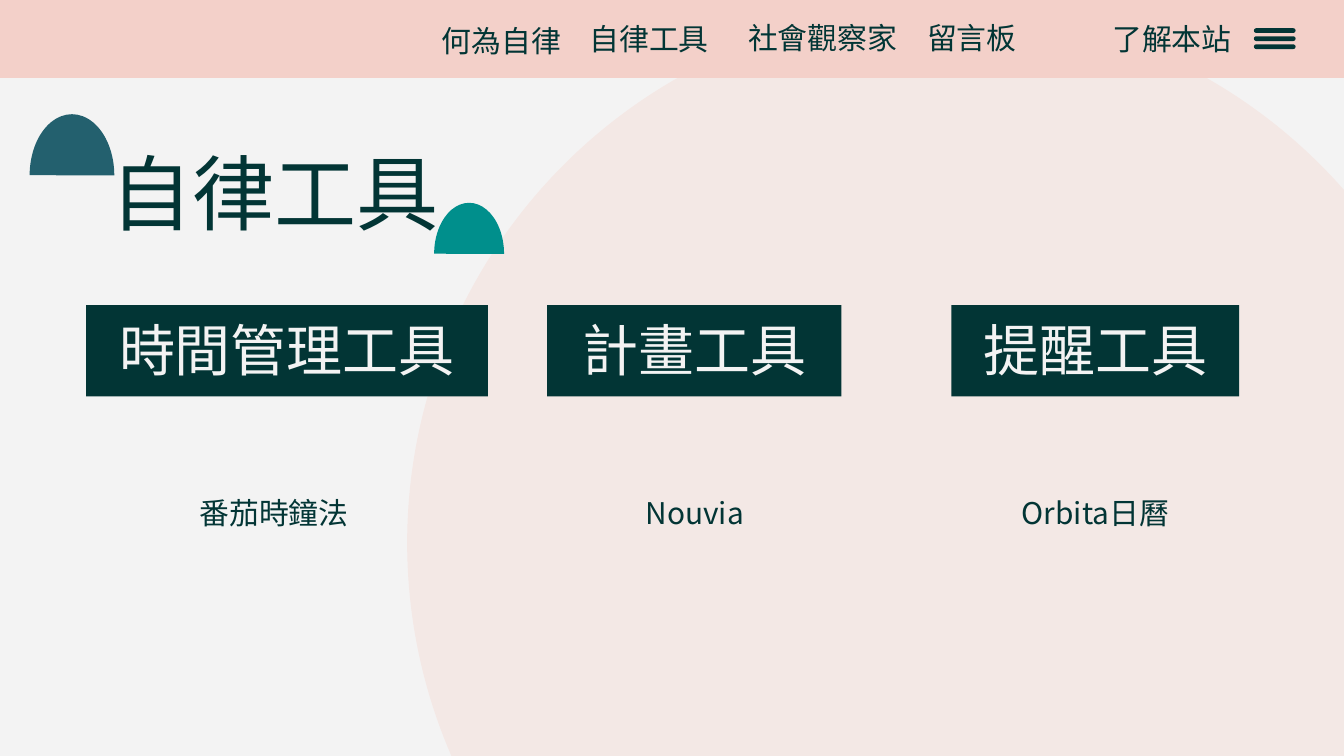
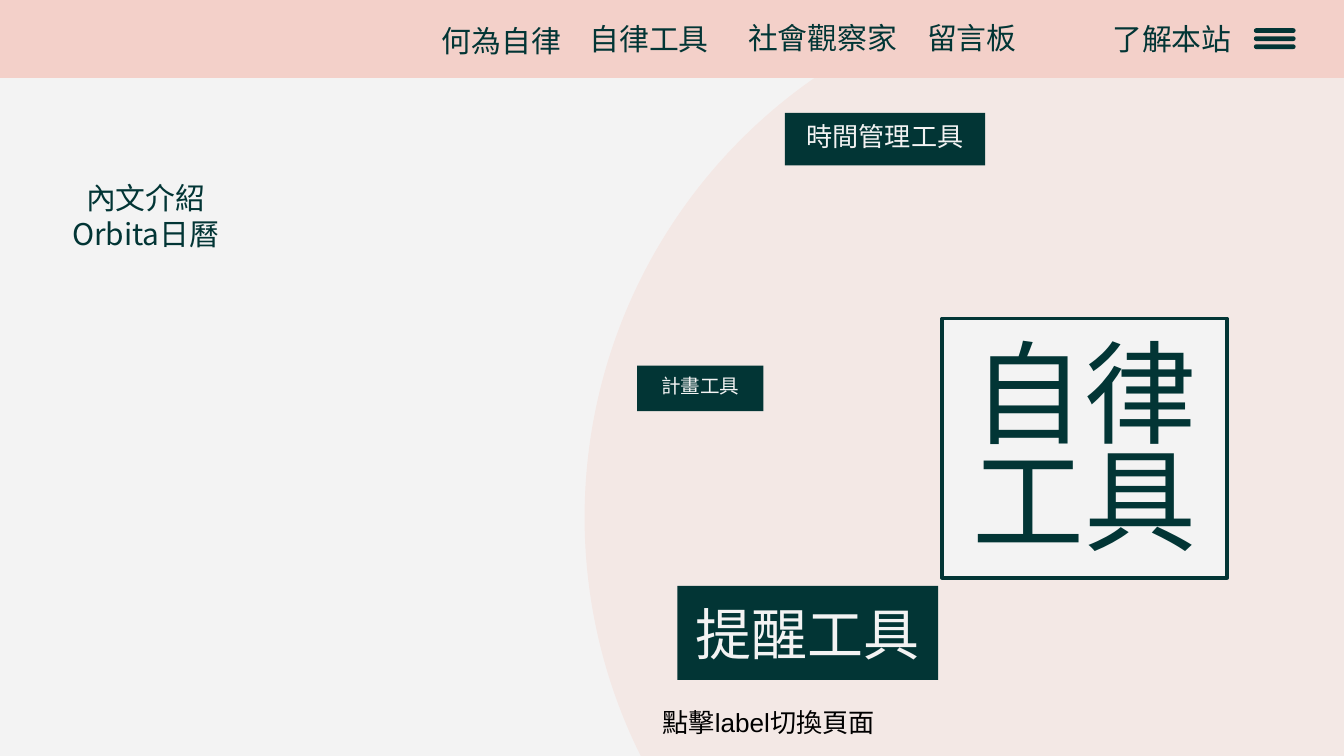
"""Build two slides of a site mock-up about self-discipline tools."""
from dataclasses import dataclass
from typing import NamedTuple

from lxml import etree
from pptx import Presentation
from pptx import slide as sl
from pptx import util as u
from pptx.dml import color
from pptx.enum import shapes, text
from pptx.oxml import ns
from pptx.shapes import autoshape
from pptx.text import text as tx

CELL = u.Inches(0.1)
COLUMNS, ROWS = 100, 56.25
COLORS = {
    "paper": "F3F3F3", "blush": "F3E8E5", "band": "F3D0C9", "ink": "023535",
    "slate": "23606E", "teal": "008F8C", "black": "000000",
}
SANS = "Noto Sans CJK JP"


class Area(NamedTuple):
    """A rectangle in grid columns and rows."""
    column: float
    row: float
    columns: float
    rows: float

    def emu(self) -> list[int]:
        """Return left, top, width and height."""
        return [round(cells * CELL) for cells in self]


@dataclass(frozen=True)
class Style:
    """How a block of text is set."""
    size: float = 16
    ink: str = "ink"
    font: str = SANS
    align: text.PP_ALIGN = text.PP_ALIGN.CENTER
    anchor: text.MSO_ANCHOR = text.MSO_ANCHOR.TOP
    side_inset: float = 1
    end_inset: float = 1
    spacing: float | None = None
    fit: text.MSO_AUTO_SIZE = text.MSO_AUTO_SIZE.NONE


class Label(NamedTuple):
    """Words in their place."""
    words: str
    area: Area
    size: float = 16


class Dome(NamedTuple):
    """A half ellipse, before its quarter turn."""
    area: Area
    fill: str


BODY = Style()
NAV_STYLE = Style(anchor=text.MSO_ANCHOR.MIDDLE, side_inset=0)
HINT_STYLE = Style(14, "black", "Arial", text.PP_ALIGN.LEFT, end_inset=0.5,
                   fit=text.MSO_AUTO_SIZE.SHAPE_TO_FIT_TEXT)

NAV = [
    Label("自律工具", Area(43.3, 2, 10, 1.7)),
    Label("何為自律", Area(31.4, 2.2, 11.8, 1.7)),
    Label("了解本站", Area(82.2, 2, 10, 1.7)),
    Label("社會觀察家", Area(55.1, 1.9, 12.2, 1.8)),
    Label("留言板", Area(66.2, 1.9, 12.2, 1.8)),
]
DOMES = [Dome(Area(0.8, 9.9, 9.1, 6.3), "slate"), Dome(Area(31.1, 16.3, 7.6, 5.2), "teal")]
TOOL_TAGS = [
    Label("時間管理工具", Area(6.4, 22.7, 29.9, 6.8), 30),
    Label("計畫工具", Area(40.7, 22.7, 21.9, 6.8), 30),
    Label("提醒工具", Area(70.8, 22.7, 21.4, 6.8), 30),
]
EXAMPLES = [
    Label(words, Area(column, 35.8, 16.4, 10.7))
    for words, column in [("番茄時鐘法", 12.2), ("Nouvia", 43.5), ("Orbita日曆", 73.3)]
]
SWITCH_TAGS = [
    Label("計畫工具", Area(47.4, 27.2, 9.4, 3.4), 10.5),
    Label("提醒工具", Area(50.4, 43.6, 19.4, 7), 30),
    Label("時間管理工具", Area(58.4, 8.4, 14.9, 3.9), 14),
]


def rgb(name: str) -> color.RGBColor:
    """Look up a named colour."""
    return color.RGBColor.from_string(COLORS[name])


def write(frame: tx.TextFrame, words: str, style: Style) -> None:
    """Set one paragraph per line of words."""
    frame.word_wrap = True
    frame.auto_size = style.fit
    frame.vertical_anchor = style.anchor
    frame.margin_left = frame.margin_right = round(style.side_inset * CELL)
    frame.margin_top = frame.margin_bottom = round(style.end_inset * CELL)
    for index, line in enumerate(words.split("\n")):
        paragraph = frame.add_paragraph() if index else frame.paragraphs[0]
        paragraph.alignment = style.align
        if style.spacing:
            paragraph.line_spacing = style.spacing
        run = paragraph.add_run()
        run.text = line
        run.font.size = u.Pt(style.size)
        run.font.color.rgb = rgb(style.ink)
        run.font.name = style.font
        etree.SubElement(run.font._element, ns.qn("a:ea"), typeface=SANS)


def add_label(slide: sl.Slide, label: Label, style: Style = BODY) -> None:
    """Place plain text."""
    write(slide.shapes.add_textbox(*label.area.emu()).text_frame, label.words, style)


def add_figure(parent, kind: shapes.MSO_SHAPE, area: Area, fill: str) -> autoshape.Shape:
    """Place a flat preset shape."""
    figure = parent.add_shape(kind, *area.emu())
    figure.shadow.inherit = False
    figure.fill.solid()
    figure.fill.fore_color.rgb = rgb(fill)
    figure.line.fill.background()
    return figure


def add_tag(slide: sl.Slide, tag: Label) -> None:
    """Place a dark box with light words."""
    box = add_figure(slide.shapes, shapes.MSO_SHAPE.RECTANGLE, tag.area, "ink")
    write(box.text_frame, tag.words,
          Style(tag.size, "paper", anchor=text.MSO_ANCHOR.BOTTOM))


def add_dome(slide: sl.Slide, dome: Dome) -> None:
    """Place a half ellipse resting on its flat side."""
    half = add_figure(slide.shapes, shapes.MSO_SHAPE.PIE, dome.area, dome.fill)
    half.adjustments[0], half.adjustments[1] = 54.21, 162
    half.rotation = 90


def place_title(slide: sl.Slide, title: Label) -> autoshape.Shape:
    """Move the title placeholder to the front and fill it in."""
    heading = slide.shapes.title
    heading.left, heading.top, heading.width, heading.height = title.area.emu()
    slide.shapes._spTree.append(heading._element)
    write(heading.text_frame, title.words,
          Style(title.size, anchor=text.MSO_ANCHOR.BOTTOM, spacing=0.8))
    return heading


def add_page(deck, layout: int, circle_column: float, circle_row: float) -> sl.Slide:
    """Start a slide with its circle, band, navigation and menu icon."""
    slide = deck.slides.add_slide(deck.slide_layouts[layout])
    for spare in list(slide.placeholders)[1:]:
        slide.shapes._spTree.remove(spare._element)
    add_figure(slide.shapes, shapes.MSO_SHAPE.OVAL,
               Area(circle_column, circle_row, 79.6, 79.6), "blush")
    add_figure(slide.shapes, shapes.MSO_SHAPE.RECTANGLE, Area(0, 0, COLUMNS, 5.8), "band")
    for link in NAV:
        add_label(slide, link, NAV_STYLE)
    menu = slide.shapes.add_group_shape()
    for index in range(3):
        bar = add_figure(menu.shapes, shapes.MSO_SHAPE.ROUNDED_RECTANGLE,
                         Area(93.3, 2.1 + 0.6 * index, 3.1, 0.35), "ink")
        bar.adjustments[0] = 0.5
    return slide


def build_overview(deck) -> None:
    """Build the slide that lists the tools."""
    slide = add_page(deck, 0, 30.3, 0.6)
    place_title(slide, Label("自律工具", Area(0, -7.3, 40.9, 26.2), 44))
    for dome in DOMES:
        add_dome(slide, dome)
    for tag in TOOL_TAGS:
        add_tag(slide, tag)
    for example in EXAMPLES:
        add_label(slide, example)


def build_detail(deck) -> None:
    """Build the slide that introduces one tool."""
    slide = add_page(deck, 5, 43.5, -1.3)
    for tag in SWITCH_TAGS:
        add_tag(slide, tag)
    add_label(slide, Label("點擊label切換頁面", Area(48.3, 52.1, 22.3, 3.4)), HINT_STYLE)
    add_label(slide, Label("內文介紹\nOrbita日曆", Area(1.2, 12.4, 19.3, 10.7)))
    heading = place_title(slide, Label("自律工具", Area(70.1, 23.7, 21.2, 19.3), 60))
    heading.fill.solid()
    heading.fill.fore_color.rgb = rgb("paper")
    heading.line.color.rgb = rgb("ink")
    heading.line.width = u.Pt(2)


def main() -> None:
    """Build and save the deck."""
    deck = Presentation()
    deck.slide_width, deck.slide_height = round(COLUMNS * CELL), round(ROWS * CELL)
    backdrop = deck.slide_master.background.fill
    backdrop.solid()
    backdrop.fore_color.rgb = rgb("paper")
    build_overview(deck)
    build_detail(deck)
    deck.save("out.pptx")


if __name__ == "__main__":
    main()
